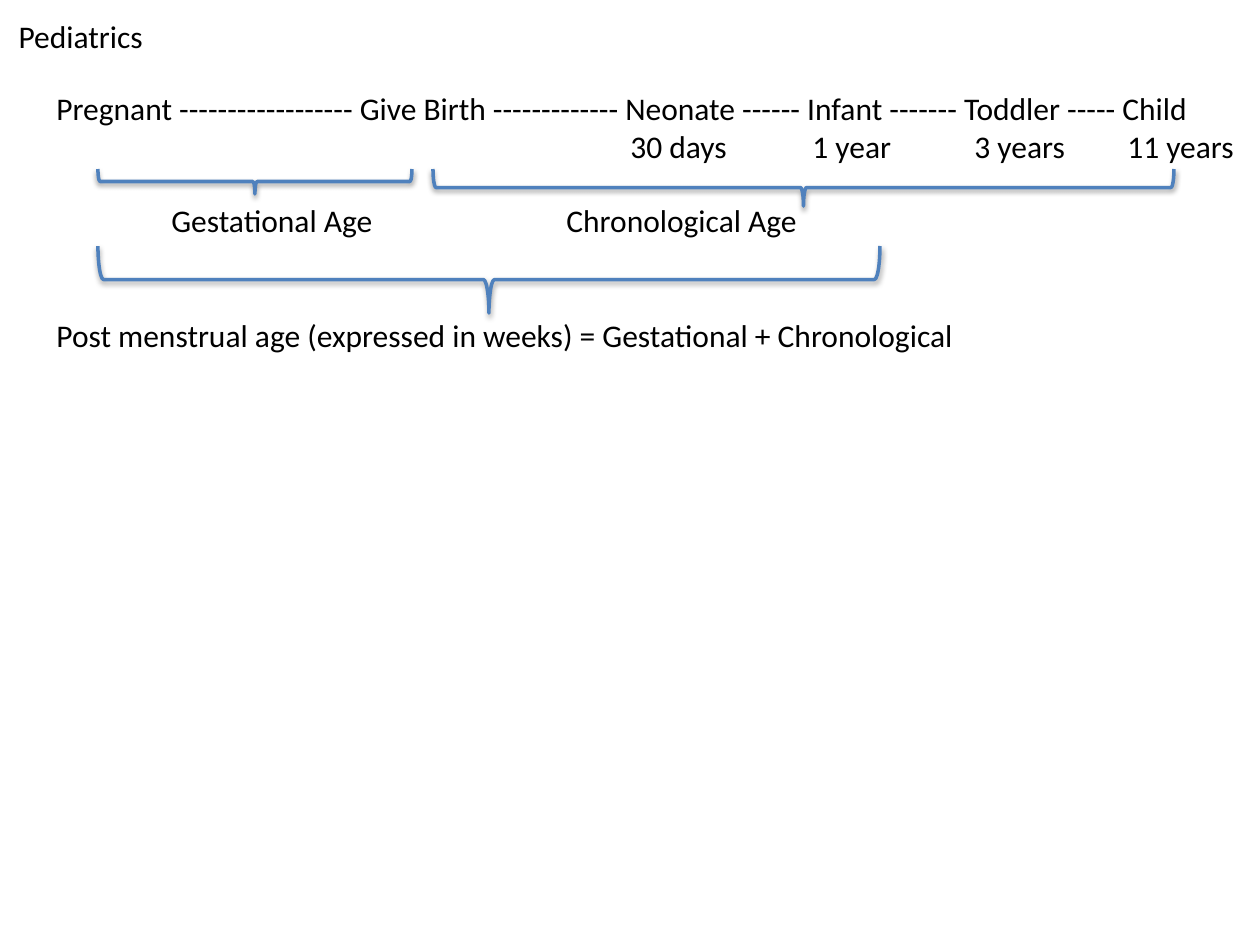
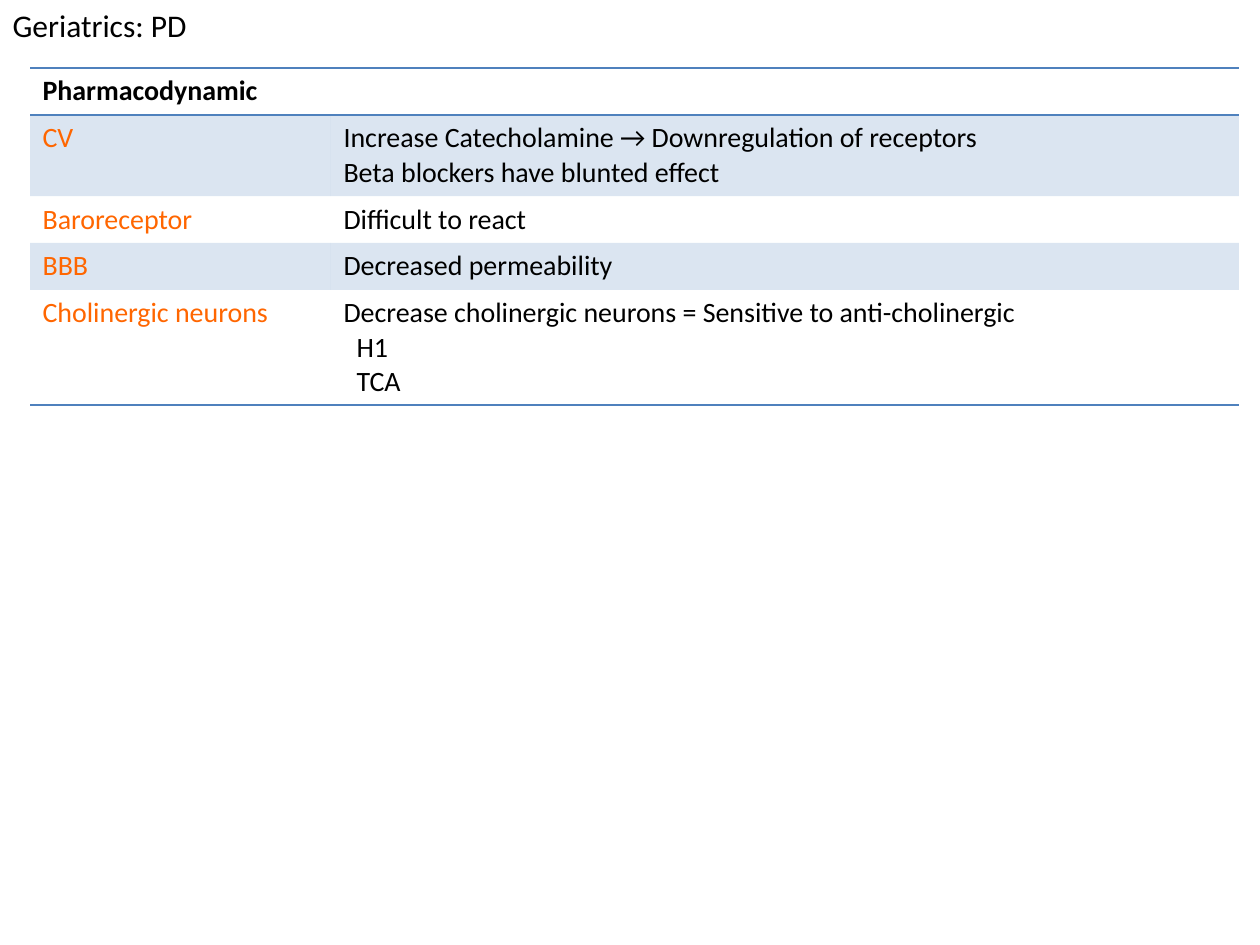
"""Build two slides on ages in pediatrics and drug effects in geriatrics."""
from lxml import etree
from pptx import Presentation
from pptx.dml.color import RGBColor
from pptx.enum.shapes import MSO_SHAPE
from pptx.enum.text import MSO_ANCHOR, MSO_AUTO_SIZE, PP_ALIGN
from pptx.oxml.ns import qn
from pptx.util import Emu, Pt

BRACE = MSO_SHAPE.LEFT_BRACE
TOP = MSO_ANCHOR.TOP
LEFT = PP_ALIGN.LEFT
FIXED = MSO_AUTO_SIZE.NONE

BLACK = RGBColor(0x00, 0x00, 0x00)
BLUE = RGBColor(0x4F, 0x81, 0xBD)
ORANGE = RGBColor(0xFF, 0x66, 0x00)

BODY = {"name": "Calibri", "size": Pt(18), "bold": False}
CELL = {**BODY, "size": Pt(16)}
HEAD = {**CELL, "bold": True}
FRAME = {"vertical_anchor": TOP, "auto_size": FIXED}
PLAIN = "{2D5ABB26-0587-4C30-8999-92F81FD0307C}"
LINE = 50

STAGES = ("Pregnant ------------------ Give Birth ------------- Neonate "
          "------ Infant ------- Toddler ----- Child")
AGES = [(574, "30 days"), (756, "1 year"), (918, "3 years"),
        (1071, "11 years")]
LABELS = [
    (115, 112, 229, "Gestational Age"),
    (510, 112, 260, "Chronological Age"),
    (0, 227, 936, "Post menstrual age (expressed in weeks) = "
                  "Gestational + Chronological"),
]
BRACES = [(54, 86, 314, 25), (389, 86, 741, 37), (54, 163, 782, 67)]

COLS = [301, 908]
ROWS = [
    (47, "Pharmacodynamic", [], []),
    (80, "CV", ["Increase Catecholamine → Downregulation of receptors",
                "Beta blockers have blunted effect"], []),
    (46, "Baroreceptor", ["Difficult to react"], []),
    (46, "BBB", ["Decreased permeability"], []),
    (114, "Cholinergic neurons",
     ["Decrease cholinergic neurons = Sensitive to anti-cholinergic"],
     ["H1", "TCA"]),
]


def px(num):
    """Turn pixels into EMU."""
    return Emu(round(num * 914400 / 126))


def apply(item, style):
    """Set attributes from a dict of values."""
    for key, value in style.items():
        setattr(item, key, value)


def style_text(par, style, color=BLACK):
    """Format each run of a paragraph."""
    par.alignment = LEFT
    for run in par.runs:
        apply(run.font, style)
        run.font.color.rgb = color


def add_title(deck, text, x, y, w):
    """Add a title-only slide with a small title at the top left."""
    slide = deck.slides.add_slide(deck.slide_layouts[5])
    title = slide.shapes.title
    apply(title, {"left": px(x), "top": px(y),
                  "width": px(w), "height": px(LINE)})
    frame = title.text_frame
    frame.text = text
    apply(frame, {**FRAME, "word_wrap": False})
    style_text(frame.paragraphs[0], BODY)
    return slide


def add_text(slide, x, y, w, text, wrap=False):
    """Add a text box with one paragraph per line of text."""
    rows = text.split("\n")
    box = slide.shapes.add_textbox(px(x), px(y), px(w), px(LINE * len(rows)))
    frame = box.text_frame
    frame.text = text
    apply(frame, {**FRAME, "word_wrap": wrap})
    for par in frame.paragraphs:
        style_text(par, BODY)
    return frame


def add_brace(slide, x, y, w, h):
    """Add a brace that points down and fills the given box."""
    shape = slide.shapes.add_shape(
        BRACE, px(x + (w - h) / 2), px(y + (h - w) / 2), px(h), px(w))
    shape.rotation = 270
    shape.fill.background()
    shape.line.color.rgb = BLUE
    shape.line.width = Pt(2)
    shape.shadow.inherit = False
    effect = shape._element.spPr.find(qn("a:effectLst"))
    shade = etree.SubElement(
        effect, qn("a:outerShdw"), blurRad=str(Pt(3.1)), dist=str(Pt(1.6)),
        dir="5400000", rotWithShape="0")
    tint = etree.SubElement(shade, qn("a:srgbClr"), val=str(BLACK))
    etree.SubElement(tint, qn("a:alpha"), val="38000")


def add_ages(slide, x, y):
    """Draw the line of life stages with its braces and labels."""
    ages = "".join("\t" + age for _, age in AGES)
    frame = add_text(slide, x, y, 1216, f"{STAGES}\n{ages}", True)
    props = frame.paragraphs[1]._p.get_or_add_pPr()
    tabs = etree.SubElement(props, qn("a:tabLst"))
    for stop, _ in AGES:
        etree.SubElement(tabs, qn("a:tab"), pos=str(px(stop)), algn="l")
    for left, top, wide, text in LABELS:
        add_text(slide, x + left, y + top, wide, text)
    for left, top, wide, high in BRACES:
        add_brace(slide, x + left, y + top, wide, high)


def add_rule(cell, side):
    """Draw a border on one side of a cell."""
    props = cell._tc.get_or_add_tcPr()
    rule = etree.SubElement(props, qn("a:" + side), w=str(Pt(1)))
    fill = etree.SubElement(rule, qn("a:solidFill"))
    etree.SubElement(fill, qn("a:srgbClr"), val=str(BLUE))


def fill_cell(cell, band):
    """Tint a banded cell and leave others clear."""
    if not band:
        cell.fill.background()
        return
    cell.fill.solid()
    cell.fill.fore_color.rgb = BLUE
    tint = cell._tc.tcPr.find(".//" + qn("a:srgbClr"))
    if tint.getparent().getparent() is not cell._tc.tcPr:
        tint = cell._tc.tcPr.find(qn("a:solidFill"))[0]
    etree.SubElement(tint, qn("a:alpha"), val="20000")


def write_cell(cell, lines, subs, style, color):
    """Write lines, then indented sublines, in a cell."""
    cell.text = "\n".join(lines + subs)
    for num, par in enumerate(cell.text_frame.paragraphs):
        style_text(par, style, color)
        if not par.runs:
            par._p.get_or_add_endParaRPr().set("sz", "1600")
        if num >= len(lines) and subs:
            par._p.get_or_add_pPr().set("marL", str(px(13)))


def add_effects(slide, x, y):
    """Draw the table of drug effects."""
    high = sum(row[0] for row in ROWS)
    table = slide.shapes.add_table(
        len(ROWS), len(COLS), px(x), px(y), px(sum(COLS)), px(high)
    ).table
    apply(table, {"first_row": False, "horz_banding": False})
    table._tbl.tblPr.find(qn("a:tableStyleId")).text = PLAIN
    for col, wide in zip(table.columns, COLS):
        col.width = px(wide)
    for num, (tall, name, lines, subs) in enumerate(ROWS):
        table.rows[num].height = px(tall)
        label, note = table.rows[num].cells
        head = num == 0
        write_cell(label, [name], [], HEAD if head else CELL,
                   BLACK if head else ORANGE)
        write_cell(note, lines, subs, CELL, BLACK)
        for cell in (label, note):
            if head:
                add_rule(cell, "lnT")
            if head or num == len(ROWS) - 1:
                add_rule(cell, "lnB")
            fill_cell(cell, num % 2 == 1)


def main():
    """Build and save the slides."""
    deck = Presentation()
    apply(deck, {"slide_width": px(1260), "slide_height": px(945)})
    add_ages(add_title(deck, "Pediatrics", 6, 11, 152), 44, 83)
    add_effects(add_title(deck, "Geriatrics: PD", 0, 0, 202), 30, 68)
    deck.save("out.pptx")


if __name__ == "__main__":
    main()
